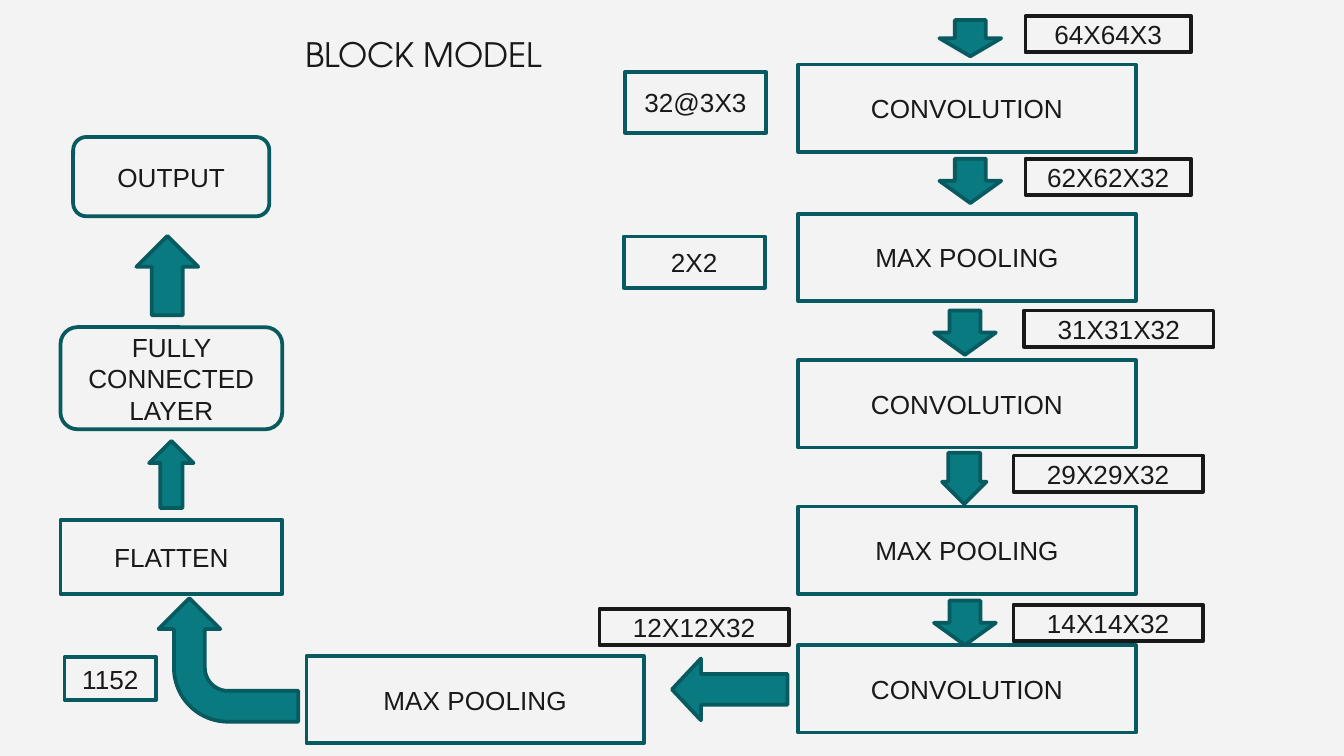
"""Builds the block model slide of a small convolutional network."""
from pptx import Presentation
from pptx.dml.color import RGBColor
from pptx.enum.shapes import MSO_SHAPE
from pptx.enum.text import MSO_ANCHOR, MSO_AUTO_SIZE, PP_ALIGN
from pptx.util import Pt

RECT, ROUND = MSO_SHAPE.RECTANGLE, MSO_SHAPE.ROUNDED_RECTANGLE
DOWN, UP = MSO_SHAPE.DOWN_ARROW, MSO_SHAPE.UP_ARROW
LEFT, BENT = MSO_SHAPE.LEFT_ARROW, MSO_SHAPE.BENT_ARROW
TOP, MIDDLE = MSO_ANCHOR.TOP, MSO_ANCHOR.MIDDLE
CENTER = PP_ALIGN.CENTER
NO_FIT = MSO_AUTO_SIZE.NONE

PAPER = RGBColor(0xF3, 0xF3, 0xF3)
INK = RGBColor(0x19, 0x19, 0x19)
TEAL = RGBColor(0x09, 0x7A, 0x80)
DARK_TEAL = RGBColor(0x07, 0x5A, 0x5F)

LAYER_X, LAYER_W, LAYER_H = 427.7, 180.7, 46.8
SIZE_H = 19.5

LAYERS = [
    ("CONVOLUTION", LAYER_X, 34.6),
    ("MAX POOLING", LAYER_X, 114.5),
    ("CONVOLUTION", LAYER_X, 193),
    ("MAX POOLING", LAYER_X, 271.4),
    ("CONVOLUTION", LAYER_X, 345.6),
    ("MAX POOLING", 164.2, 351.4),
]
SIZES = [
    ("64X64X3", 549.4, 8.6, 88.6),
    ("62X62X32", 549.4, 85, 88.6),
    ("31X31X32", 548.6, 166.3, 101.5),
    ("29X29X32", 542.9, 244.1, 101.5),
    ("14X14X32", 542.9, 324, 101.5),
    ("12X12X32", 321.1, 326.2, 101.5),
]
NODES = [
    ("FLATTEN", RECT, (32.4, 278.6, 118.8, 39.6)),
    ("FULLY CONNECTED LAYER", ROUND, (32.4, 175.3, 118.8, 54.7)),
    ("OUTPUT", ROUND, (39.2, 73.4, 105.1, 42.5)),
    ("32@3X3", RECT, (334.8, 38.7, 75.6, 32.4)),
    ("2X2", RECT, (334.1, 126.7, 75.6, 27.4)),
    ("1152", RECT, (34.6, 352.1, 49, 23)),
]
ARROWS = [
    (DOWN, (503.3, 10.8, 33.1, 19.4), (), 0),
    (DOWN, (503.3, 85, 33.1, 23.8), (), 0),
    (DOWN, (500.4, 166.3, 33.1, 23.8), (), 0),
    (DOWN, (504.7, 242.6, 23.8, 27.4), (0.72, 0.5), 0),
    (DOWN, (500.4, 321.8, 33.1, 23.8), (), 0),
    (LEFT, (360, 352.8, 61.9, 33.1), (0.5, 0.47), 0),
    (BENT, (89.3, 316.1, 66.2, 74.9), (), 270),
    (UP, (79.9, 236.2, 23.8, 36), (), 0),
    (UP, (73.1, 126.4, 33.1, 42.5), (), 0),
]


def add_shape(s, kind, box, fill, line):
    sp = s.shapes.add_shape(kind, *map(Pt, box))
    sp.shadow.inherit = False
    sp.fill.solid()
    sp.fill.fore_color.rgb = fill
    sp.line.color.rgb = line
    sp.line.width = Pt(2)
    return sp


def set_text(sp, text, font, size, anchor):
    tf = sp.text_frame
    tf.text = text
    tf.word_wrap = True
    tf.auto_size = NO_FIT
    tf.vertical_anchor = anchor
    tf.margin_left = tf.margin_right = Pt(7.2)
    p = tf.paragraphs[0]
    p.alignment = CENTER
    p.font.name = font
    p.font.size = Pt(size)
    p.font.color.rgb = INK


def add_box(s, text, kind, box, line):
    set_text(add_shape(s, kind, box, PAPER, line), text, "Arial", 14, MIDDLE)


def add_title(s, text):
    sp = s.shapes.title
    sp.left, sp.top, sp.width, sp.height = map(Pt, (62.6, 10.8, 329, 28.1))
    set_text(sp, text, "TeX Gyre Adventor", 18, TOP)
    tf = sp.text_frame
    tf.margin_top = tf.margin_bottom = Pt(7.2)


def main():
    prs = Presentation()
    prs.slide_width, prs.slide_height = Pt(720), Pt(405)
    s = prs.slides.add_slide(prs.slide_layouts[5])
    s.background.fill.solid()
    s.background.fill.fore_color.rgb = PAPER
    add_title(s, "BLOCK MODEL")
    for text, x, y in LAYERS:
        add_box(s, text, RECT, (x, y, LAYER_W, LAYER_H), DARK_TEAL)
    for kind, box, adjustments, rotation in ARROWS:
        sp = add_shape(s, kind, box, TEAL, DARK_TEAL)
        sp.rotation = rotation
        for i, value in enumerate(adjustments):
            sp.adjustments[i] = value
    for text, x, y, w in SIZES:
        add_box(s, text, RECT, (x, y, w, SIZE_H), INK)
    for text, kind, box in NODES:
        add_box(s, text, kind, box, DARK_TEAL)
    prs.save("out.pptx")


if __name__ == "__main__":
    main()
